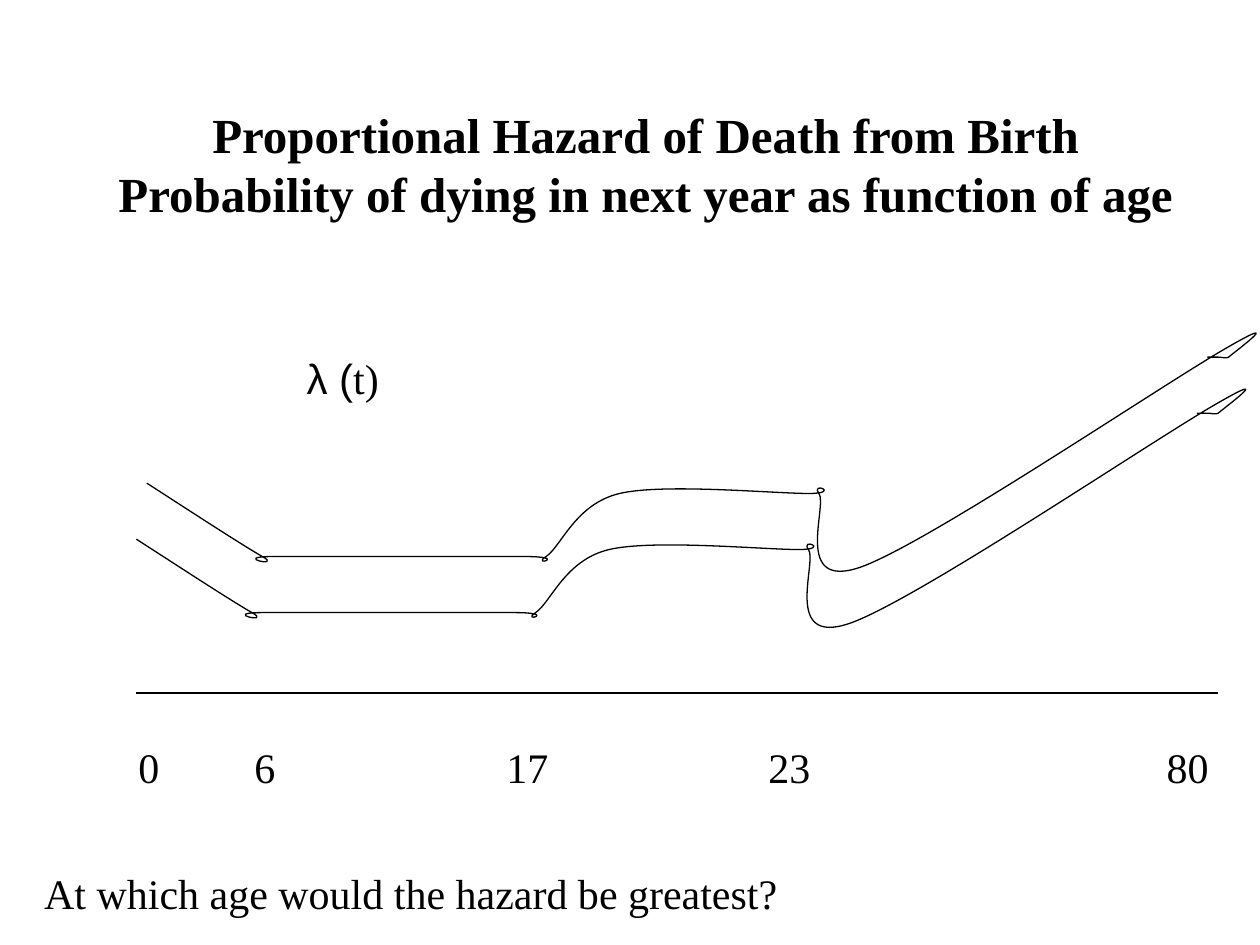
"""Build the slide on the hazard of death as a function of age."""
import pptx
import pptx.dml.color
import pptx.enum.shapes
import pptx.enum.text
import pptx.oxml.ns
import pptx.util
from lxml import etree

Cm, Pt = pptx.util.Cm, pptx.util.Pt
qn = pptx.oxml.ns.qn
MSO = pptx.enum.text

COLORS = {"ink": "000000", "paper": "FFFFFF"}
SERIF, SANS = "Times New Roman", "Arial"

TITLE = ["Proportional Hazard of Death from Birth",
         "Probability of dying in next year as function of age"]
TITLE_BOX = (1.9, 1.7, 22.23, 3.18)
AGES = ["0", "6", "17", "23", "80"]
STOPS = [2.34, 7.42, 12.7, 20.73]
TEXTS = [
    ((2.54, 14.82, 22.23, 1.27), [("\t".join(AGES), SERIF)], STOPS),
    ((5.93, 6.99, 5.5, 1.27), [("λ (", SANS), ("t)", SERIF)], []),
    ((0.64, 17.36, 16.3, 1.27),
     [("At which age would the hazard be greatest?", SERIF)], []),
]
AXIS = (2.75, 13.97, 24.55, 13.97)
START = (2.96, 9.74)
CURVE = [
    [(3.92, 10.36), (4.87, 10.98), (5.29, 11.22)],
    [(5.72, 11.46), (4.63, 11.22), (5.5, 11.22)],
    [(6.39, 11.22), (9.68, 11.22), (10.58, 11.22)],
    [(11.5, 11.22), (10.69, 11.43), (11.01, 11.22)],
    [(11.32, 11.01), (11.6, 10.16), (12.49, 9.95)],
    [(13.37, 9.74), (15.61, 9.95), (16.3, 9.95)],
    [(16.98, 9.95), (16.33, 9.7), (16.51, 9.95)],
    [(16.69, 10.2), (15.97, 11.92), (17.36, 11.43)],
    [(18.73, 10.94), (23.53, 7.69), (24.77, 6.99)],
    [(26, 6.28), (24.8, 7.16), (24.77, 7.2)],
    [(24.73, 7.23), (24.62, 7.2), (24.55, 7.2)],
    [(24.5, 7.2), (24.42, 7.2), (24.34, 7.2)],
]
SHIFTS = [(0, 0), (-0.21, 1.13)]


def rgb(name):
    return pptx.dml.color.RGBColor.from_string(COLORS[name])


def put(obj, **vals):
    for key, val in vals.items():
        setattr(obj, key, val)


def style(run, face, size, bold=False):
    put(run.font, name=face, size=Pt(size), bold=bold)
    run.font.color.rgb = rgb("ink")


def ink(line):
    line.color.rgb = rgb("ink")
    line.width = Pt(0.75)


def add_title(slide):
    shape = slide.shapes.title
    sides = ("left", "top", "width", "height")
    put(shape, **dict(zip(sides, map(Cm, TITLE_BOX))))
    frame = shape.text_frame
    put(frame, auto_size=MSO.MSO_AUTO_SIZE.NONE, word_wrap=True,
        vertical_anchor=MSO.MSO_ANCHOR.MIDDLE)
    para = frame.paragraphs[0]
    para.alignment = MSO.PP_ALIGN.CENTER
    for num, text in enumerate(TITLE):
        if num:
            para.add_line_break()
        run = para.add_run()
        run.text = text
        style(run, SERIF, 28, True)
    for gap in para._p.findall(qn("a:br")):
        etree.SubElement(gap, qn("a:rPr"), sz="2800")


def add_text(slide, box, parts, stops):
    frame = slide.shapes.add_textbox(*map(Cm, box)).text_frame
    put(frame, word_wrap=True, auto_size=MSO.MSO_AUTO_SIZE.SHAPE_TO_FIT_TEXT)
    para = frame.paragraphs[0]
    para.space_before = Pt(15)
    for text, face in parts:
        run = para.add_run()
        run.text = text
        style(run, face, 24)
    if stops:
        tabs = etree.SubElement(para._p.get_or_add_pPr(), qn("a:tabLst"))
        for stop in stops:
            etree.SubElement(tabs, qn("a:tab"), pos=str(Cm(stop)), algn="l")


def add_curve(slide, dx, dy):
    def move(spot):
        return Cm(spot[0] + dx), Cm(spot[1] + dy)

    pen = slide.shapes.build_freeform(*move(START))
    pen.add_line_segments([move(p) for arc in CURVE for p in arc], close=False)
    shape = pen.convert_to_shape()
    shape.shadow.inherit = False
    shape.fill.background()
    ink(shape.line)
    track = next(shape._element.iter(qn("a:path")))
    for num, step in enumerate(track.findall(qn("a:lnTo"))):
        if num % 3 == 0:
            arc = etree.SubElement(track, qn("a:cubicBezTo"))
        arc.append(step[0])
        track.remove(step)


def add_axis(slide):
    kind = pptx.enum.shapes.MSO_CONNECTOR.STRAIGHT
    axis = slide.shapes.add_connector(kind, *map(Cm, AXIS))
    ink(axis.line)
    etree.SubElement(axis._element.spPr, qn("a:effectLst"))


def main():
    deck = pptx.Presentation()
    put(deck, slide_width=Cm(25.4), slide_height=Cm(19.05))
    slide = deck.slides.add_slide(deck.slide_layouts[5])
    slide.background.fill.solid()
    slide.background.fill.fore_color.rgb = rgb("paper")
    add_title(slide)
    add_curve(slide, *SHIFTS[0])
    add_axis(slide)
    for item in TEXTS:
        add_text(slide, *item)
    add_curve(slide, *SHIFTS[1])
    deck.save("out.pptx")


if __name__ == "__main__":
    main()
